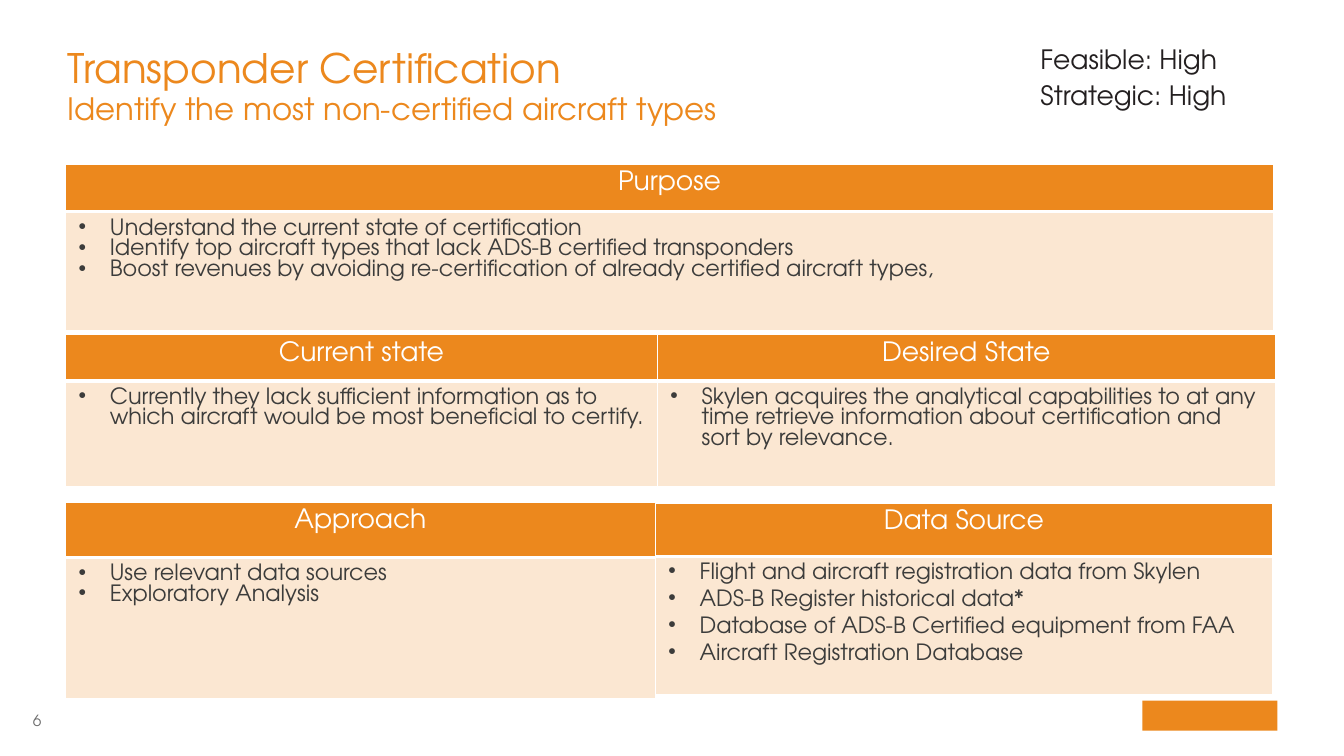
from dataclasses import dataclass
from itertools import product

from lxml import etree
from pptx import Presentation
from pptx import util as u
from pptx.dml.color import RGBColor
from pptx.enum import shapes, text
from pptx.oxml import ns

FONT = "TeX Gyre Adventor"
ORANGE = RGBColor(0xEC, 0x88, 0x1D)
PEACH = RGBColor(0xFB, 0xE7, 0xD2)
WHITE = RGBColor(0xFF, 0xFF, 0xFF)
CHARCOAL = RGBColor(0x3C, 0x3C, 0x3B)
BLACK = RGBColor(0x23, 0x1F, 0x20)
GREY = RGBColor(0x6C, 0x6C, 0x6C)

CELL_FORMAT = {
    "margin_left": u.Inches(0.13), "margin_right": u.Inches(0.13),
    "margin_top": u.Inches(0.07), "margin_bottom": u.Inches(0.07),
    "vertical_anchor": text.MSO_ANCHOR.TOP,
}
NO_MARGINS = {f"margin_{side}": 0 for side in ("left", "right", "top", "bottom")}
PLAIN_TABLE = {"first_row": False, "horz_banding": False}
SPACED = {"line_spacing": 0.95, "space_before": u.Pt(5.3)}
RATING = {"line_spacing": 0.95, "space_before": u.Pt(4)}
INDENT = u.Inches(0.31)


@dataclass
class Column:
    heading: str
    bullets: list[str]
    width: float


@dataclass
class Panel:
    left: float
    top: float
    heights: tuple[float, float]
    columns: list[Column]
    bullet_format: dict


PANELS = [
    Panel(0.65, 3.32, (0.38, 1.05), [
        Column("Current state", [
            "Currently they lack sufficient information as to which aircraft "
            "would be most beneficial to certify."], 5.87),
        Column("Desired State", [
            "Skylen acquires the analytical capabilities to at any time retrieve "
            "information about certification and sort by relevance."], 6.13),
    ], {}),
    Panel(0.65, 1.63, (0.47, 1.18), [
        Column("Purpose", [
            "Understand the current state of certification",
            "Identify top aircraft types that lack ADS-B certified transponders",
            "Boost revenues by avoiding re-certification of already certified "
            "aircraft types,"], 11.98),
    ], {}),
    Panel(0.65, 4.98, (0.55, 1.4), [
        Column("Approach", ["Use relevant data sources", "Exploratory Analysis"], 5.85),
    ], {}),
    Panel(6.5, 4.99, (0.53, 1.23), [
        Column("Data Source", [
            "Flight and aircraft registration data from Skylen",
            "ADS-B Register historical data*",
            "Database of ADS-B Certified equipment from FAA",
            "Aircraft Registration Database"], 6.12),
    ], SPACED),
]


def apply(target: object, values: dict) -> None:
    for name, value in values.items():
        setattr(target, name, value)


def add_run(p, words: str, size: float, color: RGBColor) -> None:
    r = p.add_run()
    r.text = words
    apply(r.font, {"name": FONT, "size": u.Pt(size), "bold": False})
    r.font.color.rgb = color


def write_lines(tf, lines: list[str], size: float, color: RGBColor,
                values: dict, bullet: bool = False) -> None:
    for i, line in enumerate(lines):
        p = tf.paragraphs[0] if i == 0 else tf.add_paragraph()
        if bullet:
            pPr = p._p.get_or_add_pPr()
            pPr.set("marL", str(INDENT))
            pPr.set("indent", str(-INDENT))
            etree.SubElement(pPr, ns.qn("a:buChar")).set("char", "•")
        apply(p, values)
        if i == 0:
            p.space_before = u.Pt(0)
        add_run(p, line, size, color)


def set_borders(cell, bottom: float) -> None:
    tcPr = cell._tc.get_or_add_tcPr()
    for side, width in {"L": 1, "R": 1, "T": 1, "B": bottom}.items():
        ln = etree.SubElement(tcPr, ns.qn(f"a:ln{side}"), w=str(u.Pt(width)))
        fill = etree.SubElement(ln, ns.qn("a:solidFill"))
        etree.SubElement(fill, ns.qn("a:srgbClr"), val=str(WHITE))


def add_panel(s, panel: Panel) -> None:
    columns = panel.columns
    table = s.shapes.add_table(
        2, len(columns), u.Inches(panel.left), u.Inches(panel.top),
        u.Inches(sum(c.width for c in columns)), u.Inches(sum(panel.heights))).table
    apply(table, PLAIN_TABLE)
    for row, height in zip(table.rows, panel.heights):
        row.height = u.Inches(height)
    for grid_column, column in zip(table.columns, columns):
        grid_column.width = u.Inches(column.width)

    for row, col in product(range(2), range(len(columns))):
        cell, column = table.cell(row, col), columns[col]
        is_heading = row == 0
        apply(cell, CELL_FORMAT)
        set_borders(cell, 3 if is_heading else 1)
        cell.fill.solid()
        cell.fill.fore_color.rgb = ORANGE if is_heading else PEACH
        if is_heading:
            write_lines(cell.text_frame, [column.heading], 19, WHITE,
                        {"alignment": text.PP_ALIGN.CENTER})
        else:
            write_lines(cell.text_frame, column.bullets, 16, CHARCOAL,
                        panel.bullet_format, bullet=True)


def add_title(s) -> None:
    title = s.shapes.title
    apply(title, {"left": u.Inches(0.67), "top": u.Inches(0.25),
                  "width": u.Inches(12), "height": u.Inches(1.02)})
    tf = title.text_frame
    apply(tf, NO_MARGINS | {"vertical_anchor": text.MSO_ANCHOR.BOTTOM,
                            "word_wrap": True,
                            "auto_size": text.MSO_AUTO_SIZE.NONE})
    p = tf.paragraphs[0]
    apply(p, {"alignment": text.PP_ALIGN.LEFT, "line_spacing": 0.95,
              "space_before": u.Pt(0)})
    add_run(p, "Transponder Certification", 29, ORANGE)
    p.add_line_break()
    add_run(p, "Identify the most non-certified aircraft types", 22, ORANGE)


def add_text(s, box: tuple[float, float, float, float], lines: list[str],
             size: float, color: RGBColor, frame: dict, values: dict) -> None:
    tf = s.shapes.add_textbox(*map(u.Inches, box)).text_frame
    apply(tf, frame)
    write_lines(tf, lines, size, color, values)


def main() -> None:
    prs = Presentation()
    apply(prs, {"slide_width": u.Inches(13.33), "slide_height": u.Inches(7.5)})
    s = prs.slides.add_slide(prs.slide_layouts[5])

    # Footer: page number and brand block
    add_text(s, (0.22, 7.05, 0.19, 0.19), ["6"], 11, GREY,
             NO_MARGINS | {"word_wrap": False}, {"alignment": text.PP_ALIGN.RIGHT})
    brand = s.shapes.add_shape(shapes.MSO_SHAPE.RECTANGLE, u.Inches(11.33),
                               u.Inches(6.95), u.Inches(1.34), u.Inches(0.3))
    brand.shadow.inherit = False
    brand.fill.solid()
    brand.fill.fore_color.rgb = ORANGE
    brand.line.fill.background()

    # Title and subtitle
    add_title(s)

    # Content tables
    for panel in PANELS:
        add_panel(s, panel)

    # Ratings
    add_text(s, (10.22, 0.4, 2.44, 0.77), ["Feasible: High", "Strategic: High"],
             19, BLACK, {"word_wrap": True}, RATING)

    prs.save("out.pptx")


if __name__ == "__main__":
    main()
